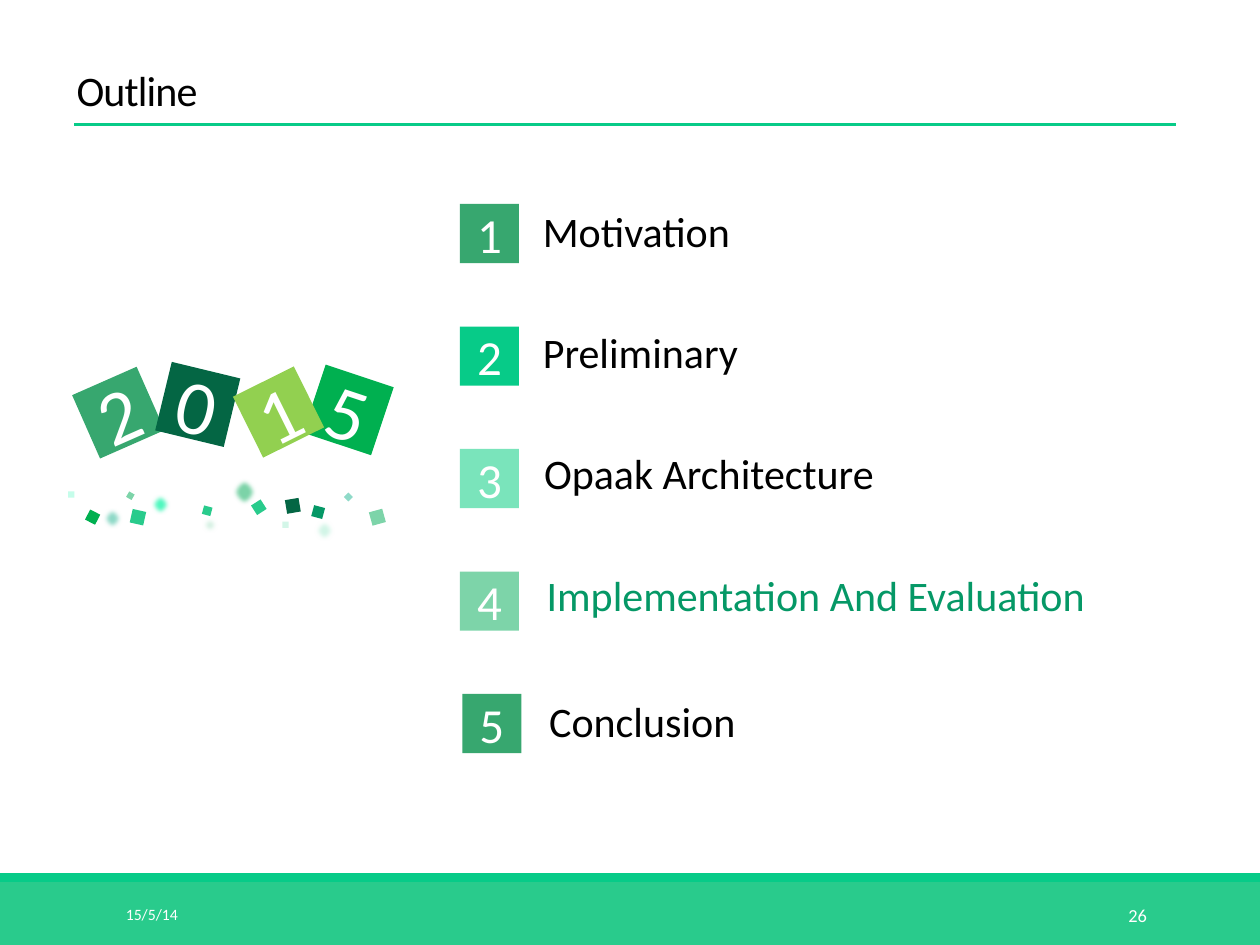
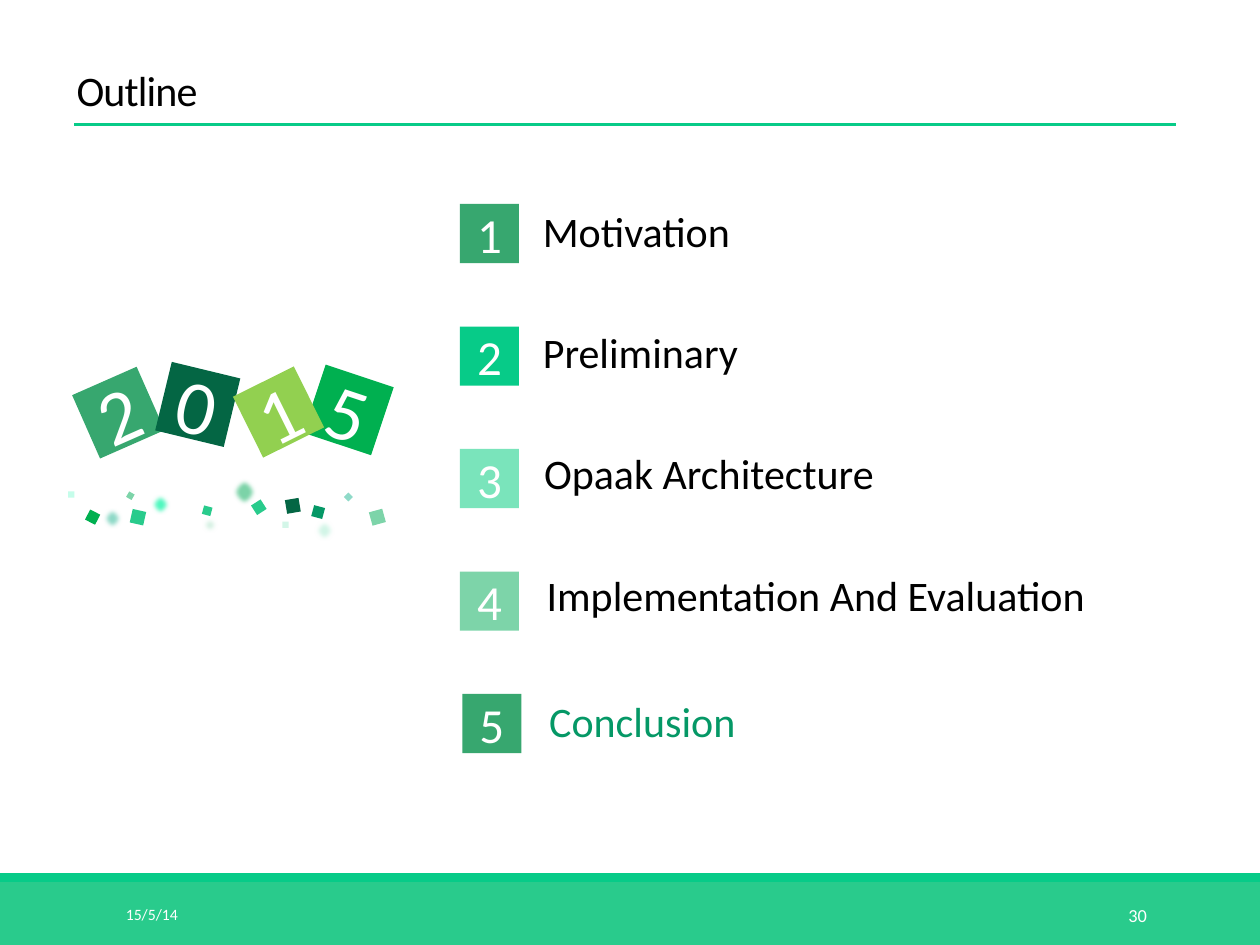
from dataclasses import dataclass

from lxml.etree import SubElement
from pptx import Presentation
from pptx.dml.color import RGBColor
from pptx.enum.shapes import MSO_CONNECTOR, MSO_SHAPE
from pptx.enum.text import MSO_ANCHOR, MSO_AUTO_SIZE, PP_ALIGN
from pptx.oxml.ns import qn
from pptx.util import Pt

# Content: page number and highlighted entry of each slide
SLIDES = [(26, 4), (30, 5)]
TITLE = "Outline"
DATE = "15/5/14"

# Entry, tile colour, tile left, label left, label top, label width, wraps
ENTRIES = [
    ("Motivation", "37A76F", 262.8, 303.1, 113.8, 209, True),
    ("Preliminary", "07CB88", 262.8, 303.1, 182.9, 209, True),
    ("Opaak Architecture", "7AE4BB", 262.8, 303.8, 252, 209, True),
    ("Implementation And Evaluation", "7DD4A9", 262.8, 305.3, 321.8, 325.4, False),
    ("Conclusion", "37A76F", 264.2, 306.7, 393.8, 121.7, False),
]

# Year tiles: digit, colour, left, top, width, height, rotation
YEAR_TILES = [
    ("2", "37A76F", 47.5, 216, 40.3, 39.6, 336.2),
    ("5", "00B050", 178.6, 213.8, 41, 41, 18.4),
    ("0", "046644", 92.9, 211, 40.3, 40.3, 13.6),
    ("1", "92D050", 139.7, 216, 38.9, 38.9, 333.6),
]

# Confetti squares: colour, left, top, side, rotation
CONFETTI = [
    ("046644", 163.4, 285.1, 7.9, 350.4),
    ("059866", 178.6, 289.4, 6.5, 15),
    ("00B050", 49.7, 292.3, 6.5, 27.2),
    ("29CB8C", 144.7, 286.6, 6.5, 327.2),
    ("C5FDEA", 38.9, 280.8, 3.6, 0),
    ("7DD4A9", 211.7, 291.6, 7.9, 344.6),
    ("D3F6E8", 161.3, 298.1, 3.6, 0),
    ("29CB8C", 74.9, 291.6, 7.9, 12.7),
    ("8FDAC8", 197.3, 282.2, 3.6, 315),
    ("29CB8C", 115.9, 289.4, 5, 15),
    ("7DD4A9", 72.7, 281.5, 3.6, 30),
]

# Soft dots: colour, left, top, width, height
SOFT_DOTS = [
    ("D4F1E2", 114.5, 294.5, 10.8, 10.8),
    ("8FDAC8", 58.3, 289.4, 12.2, 13.7),
    ("51F9C0", 85.7, 281.5, 12.2, 13.7),
    ("7DD4A9", 132.5, 272.9, 14.4, 16.6),
    ("D3F6E8", 179.3, 296.6, 12.2, 13.7),
]


@dataclass(frozen=True)
class Theme:
    font: str = "Calibri"
    ink: str = "000000"
    light: str = "FFFFFF"
    accent: str = "059866"
    band: str = "29CB8C"
    rule: str = "07CB88"
    heading: float = 24
    number: float = 28
    year: float = 44
    date: float = 9
    page: float = 10.5


THEME = Theme()
WIDTH, HEIGHT = 720, 540
BAND_TOP, STRIPE = 504, 5
TILE, FIRST_TILE_TOP, TILE_PITCH = 33.8, 116.6, 70


def write(frame, text, size, color, align=PP_ALIGN.LEFT, anchor=MSO_ANCHOR.TOP):
    frame.vertical_anchor = anchor
    paragraph = frame.paragraphs[0]
    paragraph.alignment = align
    run = paragraph.add_run()
    run.text = text
    run.font.name = THEME.font
    run.font.size = Pt(size)
    run.font.color.rgb = RGBColor.from_string(color)
    return paragraph, run


def add_block(shapes, box, color, rotation=0, kind=MSO_SHAPE.RECTANGLE):
    block = shapes.add_shape(kind, *map(Pt, box))
    block.shadow.inherit = False
    block.fill.solid()
    block.fill.fore_color.rgb = RGBColor.from_string(color)
    block.line.fill.background()
    block.rotation = rotation
    return block


def add_tile(shapes, box, color, digit, size, rotation=0):
    tile = add_block(shapes, box, color, rotation)
    write(tile.text_frame, digit, size, THEME.light, PP_ALIGN.CENTER, MSO_ANCHOR.MIDDLE)


def add_label(slide, box, text, size, color, wraps=True, **style):
    frame = slide.shapes.add_textbox(*map(Pt, box)).text_frame
    frame.word_wrap = wraps
    return frame, *write(frame, text, size, color, **style)


def add_soft_dot(shapes, color, *box):
    dot = add_block(shapes, box, color, kind=MSO_SHAPE.OVAL)
    effects = dot._element.spPr.find(qn("a:effectLst"))
    SubElement(effects, qn("a:softEdge")).set("rad", str(Pt(2.5)))


def add_frame(slide, page):
    # Footer band
    add_block(slide.shapes, (0, BAND_TOP, WIDTH, HEIGHT - BAND_TOP), THEME.band)
    add_block(slide.shapes, (0, BAND_TOP - STRIPE, WIDTH, STRIPE), THEME.rule)
    add_label(slide, (64.8, 508.3, 146, 28.8), DATE, THEME.date, THEME.light,
              anchor=MSO_ANCHOR.MIDDLE)
    add_label(slide, (584.6, 508.3, 77.8, 28.8), str(page), THEME.page, THEME.light,
              align=PP_ALIGN.RIGHT, anchor=MSO_ANCHOR.MIDDLE)

    # Title and its rule
    _, paragraph, run = add_label(slide, (36.7, 25.9, 540, 43.2), TITLE, THEME.heading,
                                  THEME.ink, anchor=MSO_ANCHOR.BOTTOM)
    paragraph.line_spacing = 0.85
    run._r.get_or_add_rPr().set("spc", "-50")
    rule = slide.shapes.add_connector(MSO_CONNECTOR.STRAIGHT, Pt(42.5), Pt(71.3), Pt(671.8), Pt(71.3))
    rule.line.color.rgb = RGBColor.from_string(THEME.rule)
    rule.line.width = Pt(1.5)
    SubElement(rule._element.spPr, qn("a:effectLst"))


def add_year_emblem(slide):
    emblem = slide.shapes.add_group_shape().shapes
    for color, left, top, side, rotation in CONFETTI:
        add_block(emblem, (left, top, side, side), color, rotation)
    for digit, color, *box, rotation in YEAR_TILES:
        add_tile(emblem, box, color, digit, THEME.year, rotation)
    for dot in SOFT_DOTS:
        add_soft_dot(emblem, *dot)


def add_entries(slide, current):
    for number, entry in enumerate(ENTRIES, start=1):
        text, color, tile_left, left, top, width, wraps = entry
        tile_top = FIRST_TILE_TOP + (number - 1) * TILE_PITCH
        add_tile(slide.shapes, (tile_left, tile_top, TILE, TILE), color, str(number), THEME.number)
        ink = THEME.accent if number == current else THEME.ink
        frame, *_ = add_label(slide, (left, top, width, 36), text, THEME.heading, ink, wraps)
        frame.auto_size = MSO_AUTO_SIZE.SHAPE_TO_FIT_TEXT


def main():
    deck = Presentation()
    deck.slide_width, deck.slide_height = Pt(WIDTH), Pt(HEIGHT)
    for page, current in SLIDES:
        slide = deck.slides.add_slide(deck.slide_layouts[6])
        add_frame(slide, page)
        add_year_emblem(slide)
        add_entries(slide, current)
    deck.save("out.pptx")


if __name__ == "__main__":
    main()
